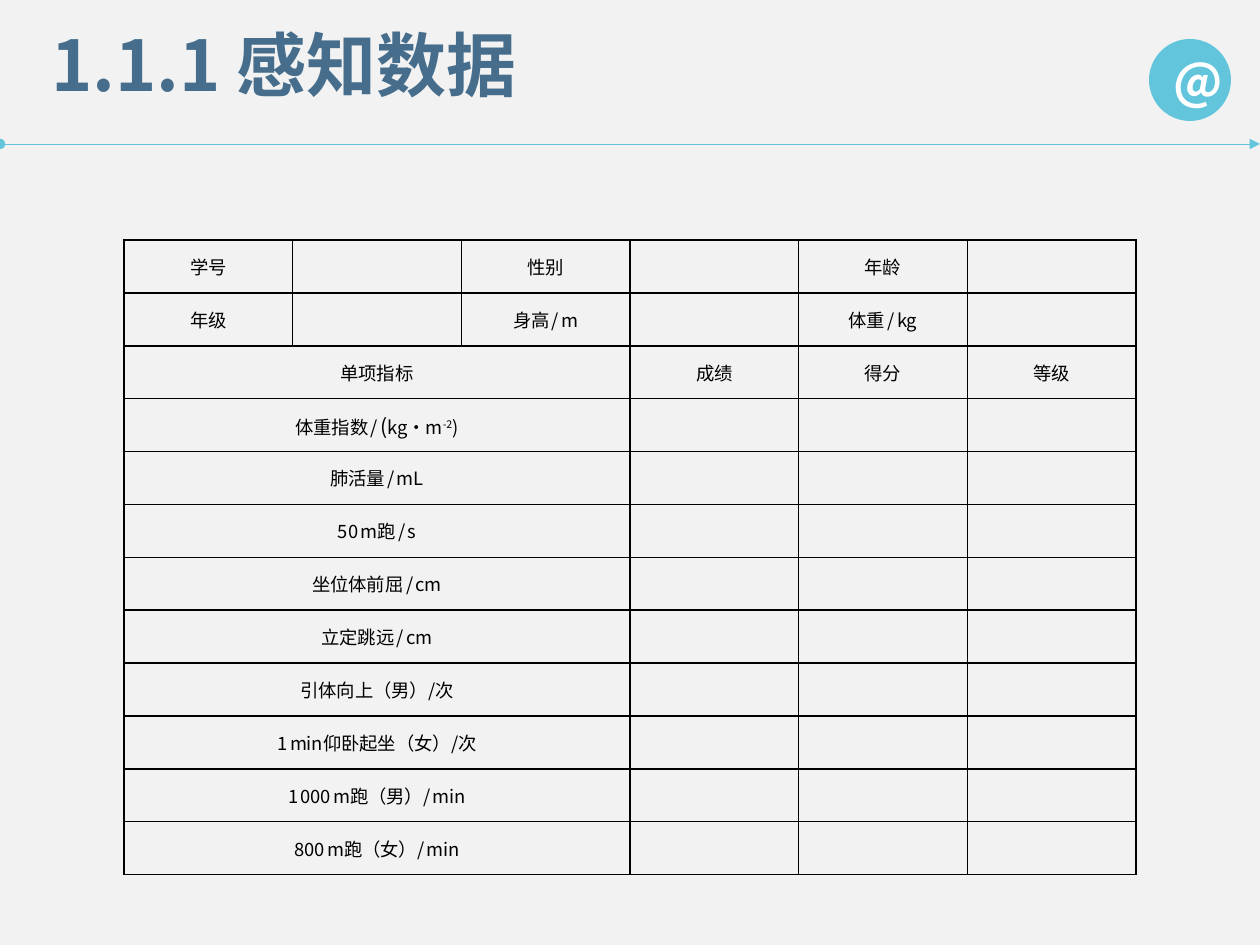
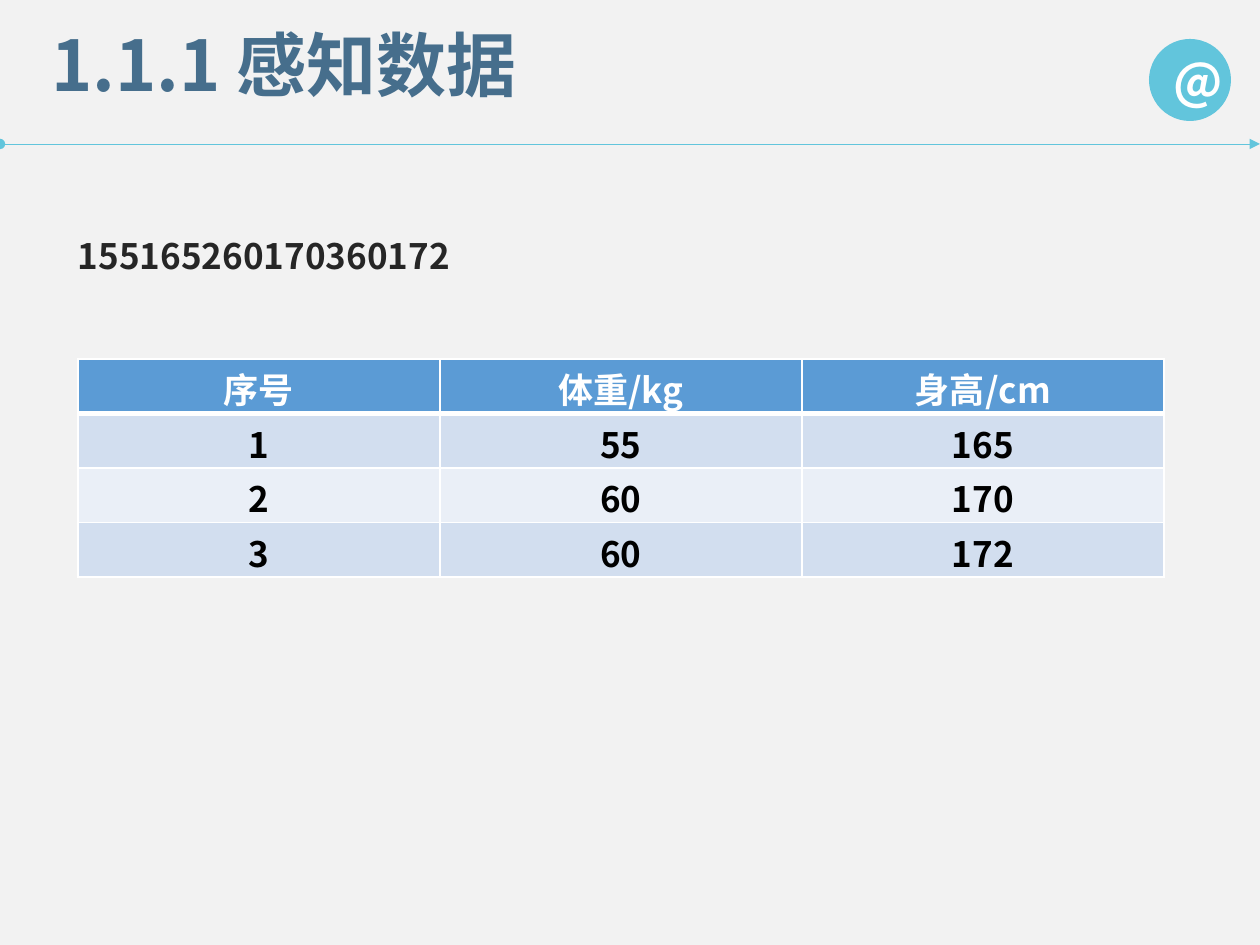
from dataclasses import dataclass

from lxml import etree
from pptx import Presentation
from pptx.dml.color import RGBColor
from pptx.enum.shapes import MSO_CONNECTOR, MSO_SHAPE
from pptx.enum.text import MSO_ANCHOR, MSO_AUTO_SIZE, PP_ALIGN
from pptx.oxml.ns import qn
from pptx.util import Emu, Pt

LEFT, CENTER = PP_ALIGN.LEFT, PP_ALIGN.CENTER
TOP, MIDDLE = MSO_ANCHOR.TOP, MSO_ANCHOR.MIDDLE
GROW = MSO_AUTO_SIZE.SHAPE_TO_FIT_TEXT
ELLIPSE, STRAIGHT = MSO_SHAPE.OVAL, MSO_CONNECTOR.STRAIGHT
TITLE_ONLY = 5
SLIDE_W, SLIDE_H = 1260, 945


@dataclass(frozen=True)
class Theme:
    font: str = "Noto Sans CJK SC"
    background: str = "F2F2F2"
    title: str = "466E8C"
    accent: str = "62C5DC"
    body: str = "262626"
    black: str = "000000"
    white: str = "FFFFFF"
    header: str = "5B9BD5"
    bands: tuple = ("D2DEEF", "EAEFF7")
    title_size: float = 40
    badge_size: float = 28
    body_size: float = 20
    form_size: float = 10.5
    bracket_size: float = 12
    gap_size: float = 6


THEME = Theme()
TITLE = "1.1.1 感知数据"

# "^" encloses a superscript
FORM_PERSON = [
    ["学号", "", "性别", "", "年龄", ""],
    ["年级", "", "身高 / m", "", "体重 / kg", ""],
]
FORM_HEADER = ["单项指标", "成绩", "得分", "等级"]
FORM_TESTS = [
    "体重指数 / (kg·m^-2^)", "肺活量 / mL", "50 m跑 / s", "坐位体前屈 / cm",
    "立定跳远 / cm", "引体向上（男）/次", "1 min仰卧起坐（女）/次",
    "1 000 m跑（男）/ min", "800 m跑（女）/ min",
]
DIGITS = "155165260170360172"
RECORDS = [
    ["序号", "体重/kg", "身高/cm"],
    ["1", "55", "165"],
    ["2", "60", "170"],
    ["3", "60", "172"],
]


def px(n):
    return Emu(round(n * 914400 / 126))


def rgb(color):
    return RGBColor.from_string(color)


def add_run(p, text, size, color, bold=False, superscript=False):
    r = p.add_run()
    r.text = text
    r.font.size, r.font.bold, r.font.name = Pt(size), bold, THEME.font
    r.font.color.rgb = rgb(color)
    rPr = r.font._element
    if superscript:
        rPr.set("baseline", "30000")
    ea = etree.Element(qn("a:ea"), typeface=THEME.font)
    rPr.find(qn("a:latin")).addnext(ea)


def write(tf, text, size, color, bold=False, align=CENTER, spacing=None):
    p = tf.paragraphs[0]
    p.alignment = align
    if spacing:
        p.line_spacing = spacing
    add_run(p, text, size, color, bold)


def write_label(tf, label):
    """Form label: narrow spaces, a taller opening bracket, superscripts."""
    p = tf.paragraphs[0]
    p.alignment = CENTER
    sizes = {" ": THEME.gap_size, "(": THEME.bracket_size}
    for i, part in enumerate(label.split("^")):
        for mark in sizes:
            part = part.replace(mark, f"\n{mark}\n")
        for piece in filter(None, part.split("\n")):
            add_run(p, piece, sizes.get(piece, THEME.form_size), THEME.black,
                    superscript=i % 2 == 1)


def set_borders(cell, color, top=1, bottom=1):
    tcPr = cell._tc.get_or_add_tcPr()
    widths = {"a:lnL": 1, "a:lnR": 1, "a:lnT": top, "a:lnB": bottom}
    for tag, width in widths.items():
        ln = etree.SubElement(tcPr, qn(tag), w=str(Pt(width)))
        fill = etree.SubElement(ln, qn("a:solidFill"))
        etree.SubElement(fill, qn("a:srgbClr"), val=color)


def add_grid(s, box, rows, cols):
    """Plain table with equal rows and columns."""
    x, y, w, h = box
    table = s.shapes.add_table(rows, cols, px(x), px(y), px(w), px(h)).table
    table.first_row = table.horz_banding = False
    for col in table.columns:
        col.width = px(w / cols)
    for row in table.rows:
        row.height = px(h / rows)
    return table


def add_title(s, box):
    sp = s.shapes.title
    sp.left, sp.top, sp.width, sp.height = map(px, box)
    tf = sp.text_frame
    tf.word_wrap, tf.auto_size, tf.vertical_anchor = True, GROW, TOP
    write(tf, TITLE, THEME.title_size, THEME.title, True, LEFT, 0.9)


def add_rule(s, box):
    x, y, w, h = box
    line = s.shapes.add_connector(STRAIGHT, px(x), px(y), px(x + w), px(y + h))
    line.line.color.rgb = rgb(THEME.accent)
    line.line.width = Pt(0.5)
    ln = line.line._get_or_add_ln()
    etree.SubElement(ln, qn("a:headEnd"), type="oval")
    etree.SubElement(ln, qn("a:tailEnd"), type="triangle")
    etree.SubElement(line._element.spPr, qn("a:effectLst"))


def add_badge(s, box):
    sp = s.shapes.add_shape(ELLIPSE, *map(px, box))
    sp.shadow.inherit = False
    sp.fill.solid()
    sp.fill.fore_color.rgb = rgb(THEME.accent)
    sp.line.fill.background()
    sp.text_frame.vertical_anchor = MIDDLE
    write(sp.text_frame, "@", THEME.badge_size, THEME.white, True)


def add_digits(s, box):
    tf = s.shapes.add_textbox(*map(px, box)).text_frame
    tf.word_wrap, tf.auto_size = True, GROW
    write(tf, DIGITS, THEME.body_size, THEME.body, True, spacing=1.2)


def add_form(s, box):
    """Fitness form: personal data on top, test results below."""
    header = [FORM_HEADER[0], "", "", *FORM_HEADER[1:]]
    rows = FORM_PERSON + [header] + [[t] + [""] * 5 for t in FORM_TESTS]
    table = add_grid(s, box, len(rows), 6)
    for i, labels in enumerate(rows):
        for j, label in enumerate(labels):
            cell = table.cell(i, j)
            cell.margin_left = cell.margin_right = px(9)
            cell.margin_top = cell.margin_bottom = 0
            cell.vertical_anchor = MIDDLE
            set_borders(cell, THEME.black)
            cell.fill.background()
            if label:
                write_label(cell.text_frame, label)
        if i >= len(FORM_PERSON):
            table.cell(i, 0).merge(table.cell(i, 2))


def add_records(s, box):
    """Banded table of the measured values."""
    table = add_grid(s, box, len(RECORDS), len(RECORDS[0]))
    for i, values in enumerate(RECORDS):
        fill = THEME.bands[(i - 1) % 2] if i else THEME.header
        color = THEME.black if i else THEME.white
        for j, value in enumerate(values):
            cell = table.cell(i, j)
            cell.margin_top, cell.margin_bottom = px(4), 0
            set_borders(cell, THEME.white, top=3 if i == 1 else 1,
                        bottom=1 if i else 3)
            cell.fill.solid()
            cell.fill.fore_color.rgb = rgb(fill)
            write(cell.text_frame, value, THEME.body_size, color, True)


def add_base_slide(prs):
    """Slide with the shared title, rule and badge."""
    s = prs.slides.add_slide(prs.slide_layouts[TITLE_ONLY])
    add_title(s, (39, 25, 778, 97))
    add_rule(s, (0, 144, SLIDE_W, 0))
    add_badge(s, (1149, 39, 82, 82))
    return s


def main():
    prs = Presentation()
    prs.slide_width, prs.slide_height = px(SLIDE_W), px(SLIDE_H)
    bg = prs.slide_master.background.fill
    bg.solid()
    bg.fore_color.rgb = rgb(THEME.background)

    # Blank form
    s = add_base_slide(prs)
    add_form(s, (124, 240, 1012, 635))

    # From digits to records
    s = add_base_slide(prs)
    add_digits(s, (28, 220, 472, 59))
    add_records(s, (78, 359, 1086, 218))

    prs.save("out.pptx")


if __name__ == "__main__":
    main()
